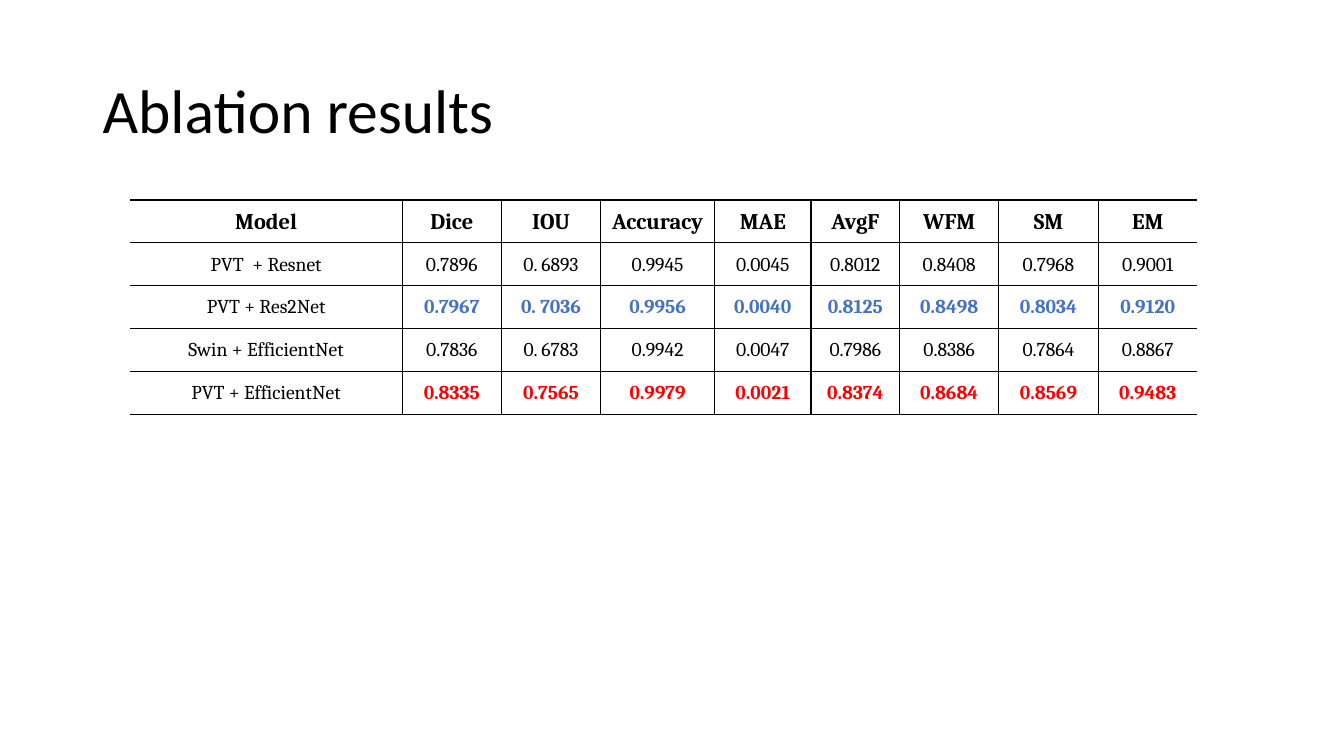
from dataclasses import dataclass

from lxml import etree
from pptx import Presentation
from pptx.dml.color import RGBColor
from pptx.enum.text import MSO_ANCHOR, MSO_AUTO_SIZE, PP_ALIGN
from pptx.oxml.ns import qn
from pptx.util import Cm, Pt

MIDDLE = MSO_ANCHOR.MIDDLE
NO_FIT = MSO_AUTO_SIZE.NONE
LEFT = PP_ALIGN.LEFT
CENTER = PP_ALIGN.CENTER
TITLE_ONLY = 5


@dataclass(frozen=True)
class Theme:
    """Colours, fonts and type sizes of the slide."""
    ink: str = "000000"
    blue: str = "4472C4"
    red: str = "FF0000"
    sans: str = "Calibri"
    serif: str = "Cambria"
    title: int = 44
    head: int = 16
    body: int = 14
    rule: int = 1


THEME = Theme()
WIDTHS = [6.85, 2.5, 2.5, 2.87, 2.43, 2.23, 2.5, 2.5, 2.5]
HEADS = ["Model", "Dice", "IOU", "Accuracy", "MAE", "AvgF", "WFM", "SM", "EM"]
RESULTS = [
    (["PVT  + Resnet", "0.7896", "0. 6893", "0.9945", "0.0045",
      "0.8012", "0.8408", "0.7968", "0.9001"], THEME.ink),
    (["PVT + Res2Net", "0.7967", "0. 7036", "0.9956", "0.0040",
      "0.8125", "0.8498", "0.8034", "0.9120"], THEME.blue),
    (["Swin + EfficientNet", "0.7836", "0. 6783", "0.9942", "0.0047",
      "0.7986", "0.8386", "0.7864", "0.8867"], THEME.ink),
    (["PVT + EfficientNet", "0.8335", "0.7565", "0.9979", "0.0021",
      "0.8374", "0.8684", "0.8569", "0.9483"], THEME.red),
]


def style(para, face, size, color, bold, align):
    """Format a paragraph and its runs."""
    para.alignment = align
    for run in para.runs:
        font = run.font
        font.name, font.size, font.bold = face, Pt(size), bold
        font.color.rgb = RGBColor.from_string(color)


def add_rules(cell, first, last):
    """Rule a cell on all sides but the outer left and right."""
    props = cell._tc.get_or_add_tcPr()
    sides = {"lnL": not first, "lnR": not last, "lnT": True, "lnB": True}
    for tag, shown in sides.items():
        line = etree.SubElement(props, qn(f"a:{tag}"), w=str(Pt(THEME.rule)))
        if shown:
            fill = etree.SubElement(line, qn("a:solidFill"))
            etree.SubElement(fill, qn("a:srgbClr"), val=THEME.ink)
        else:
            etree.SubElement(line, qn("a:noFill"))


def fill_cell(cell, text, size, color, bold):
    """Set the text and layout of one table cell."""
    cell.vertical_anchor = MIDDLE
    cell.margin_left = cell.margin_right = cell.margin_top = Cm(0.02)
    cell.margin_bottom = 0
    cell.text_frame.text = text
    style(cell.text_frame.paragraphs[0], THEME.serif, size, color, bold, CENTER)


def add_title(slide, text, left, top, width, height):
    """Place the slide title in its box."""
    title = slide.shapes.title
    title.left, title.top = Cm(left), Cm(top)
    title.width, title.height = Cm(width), Cm(height)
    frame = title.text_frame
    frame.text = text
    frame.word_wrap = True
    frame.auto_size = NO_FIT
    frame.vertical_anchor = MIDDLE
    para = frame.paragraphs[0]
    para.line_spacing = 0.9
    style(para, THEME.sans, THEME.title, THEME.ink, False, LEFT)


def add_scores(slide, left, top, width, height):
    """Place the table of scores in its box."""
    rows = [(HEADS, THEME.ink)] + RESULTS
    table = slide.shapes.add_table(
        len(rows), len(HEADS), Cm(left), Cm(top), Cm(width), Cm(height)).table
    table.first_row = table.horz_banding = False
    scale = width / sum(WIDTHS)
    for col, size in zip(table.columns, WIDTHS):
        col.width = Cm(size * scale)
    for r, (texts, tint) in enumerate(rows):
        table.rows[r].height = Cm(height / len(rows))
        for c, text in enumerate(texts):
            cell = table.cell(r, c)
            color = tint if c else THEME.ink
            bold = r == 0 or color != THEME.ink
            size = THEME.body if r else THEME.head
            fill_cell(cell, text, size, color, bold)
            add_rules(cell, c == 0, c == len(texts) - 1)
            cell.fill.background()


def main():
    """Build the slide and save it."""
    deck = Presentation()
    deck.slide_width, deck.slide_height = Cm(33.87), Cm(19.05)
    slide = deck.slides.add_slide(deck.slide_layouts[TITLE_ONLY])
    add_title(slide, "Ablation results", 2.33, 1.01, 29.21, 3.68)
    add_scores(slide, 3.28, 5.04, 26.9, 5.4)
    deck.save("out.pptx")


if __name__ == "__main__":
    main()
